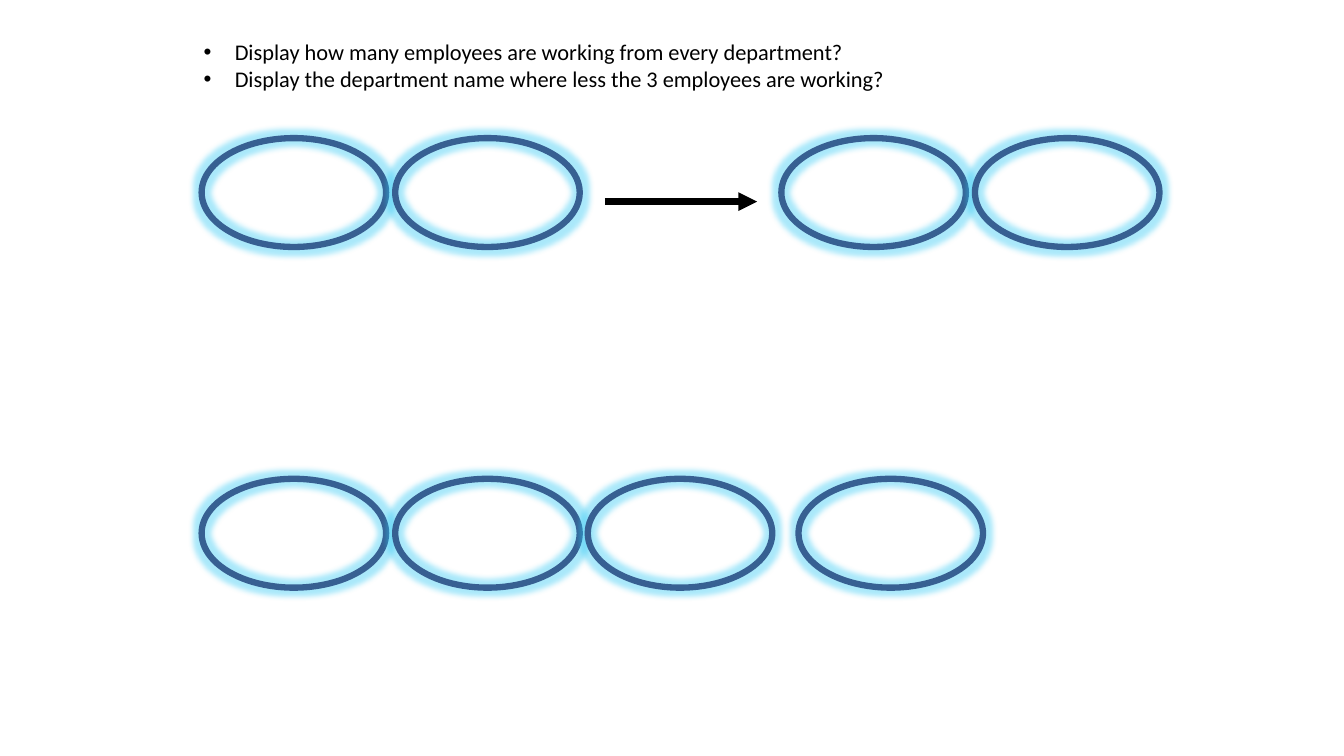
from lxml import etree
from pptx import Presentation
from pptx.dml.color import RGBColor
from pptx.enum.shapes import MSO_CONNECTOR, MSO_SHAPE
from pptx.oxml.ns import qn
from pptx.util import Inches, Pt

OVAL = MSO_SHAPE.OVAL
STRAIGHT = MSO_CONNECTOR.STRAIGHT

BLACK = RGBColor(0x00, 0x00, 0x00)
OUTLINE_BLUE = RGBColor(0x37, 0x60, 0x92)
GLOW_CYAN = RGBColor(0x2B, 0xC8, 0xF5)

QUESTION_FONT = {"name": "Calibri", "size": Pt(16)}
LINE_WIDTH = Pt(4.5)
OVAL_WIDTH, OVAL_HEIGHT = 1.83, 1.08

QUESTIONS = [
    "Display how many employees are working from every department?",
    "Display the department name where less the 3 employees are working?",
]
# Top of each row of ovals, with the left edges in it
OVAL_ROWS = {
    4.75: [2, 3.92, 5.83, 7.92],
    1.37: [2, 3.92, 7.75, 9.67],
}


def add_bullet(paragraph):
    properties = paragraph._p.get_or_add_pPr()
    properties.set("marL", str(Inches(0.31)))
    properties.set("indent", str(-Inches(0.31)))
    etree.SubElement(properties, qn("a:buFont"), typeface="Arial")
    etree.SubElement(properties, qn("a:buChar"), char="•")


def add_questions(slide):
    box = slide.shapes.add_textbox(Inches(1.92), Inches(0.33), Inches(9.58), Inches(0.91))
    frame = box.text_frame
    frame.word_wrap = True
    for index, question in enumerate(QUESTIONS):
        paragraph = frame.add_paragraph() if index else frame.paragraphs[0]
        paragraph.text = question
        add_bullet(paragraph)
        for name, value in QUESTION_FONT.items():
            setattr(paragraph.font, name, value)
        paragraph.font.color.rgb = BLACK


def style_line(line, color):
    line.color.rgb = color
    line.width = LINE_WIDTH


def add_glow(shape):
    shape.shadow.inherit = False
    effects = shape._element.spPr.find(qn("a:effectLst"))
    glow = etree.SubElement(effects, qn("a:glow"), rad=str(Pt(8)))
    color = etree.SubElement(glow, qn("a:srgbClr"), val=str(GLOW_CYAN))
    etree.SubElement(color, qn("a:alpha"), val="40000")


def add_glowing_oval(slide, left, top):
    shape = slide.shapes.add_shape(
        OVAL, Inches(left), Inches(top), Inches(OVAL_WIDTH), Inches(OVAL_HEIGHT))
    shape.fill.background()
    style_line(shape.line, OUTLINE_BLUE)
    add_glow(shape)


def add_arrow(slide, start, end, top):
    arrow = slide.shapes.add_connector(
        STRAIGHT, Inches(start), Inches(top), Inches(end), Inches(top))
    style_line(arrow.line, BLACK)
    etree.SubElement(arrow.line._get_or_add_ln(), qn("a:tailEnd"), type="triangle")
    etree.SubElement(arrow._element.spPr, qn("a:effectLst"))


def main():
    presentation = Presentation()
    presentation.slide_width = Inches(13.33)
    presentation.slide_height = Inches(7.5)
    blank_layout = presentation.slide_layouts[6]
    slide = presentation.slides.add_slide(blank_layout)

    # Questions
    add_questions(slide)

    # Ovals before and after the arrow, and the row below
    for top, lefts in OVAL_ROWS.items():
        for left in lefts:
            add_glowing_oval(slide, left, top)
    add_arrow(slide, 6, 7.51, 2)

    presentation.save("out.pptx")


if __name__ == "__main__":
    main()
